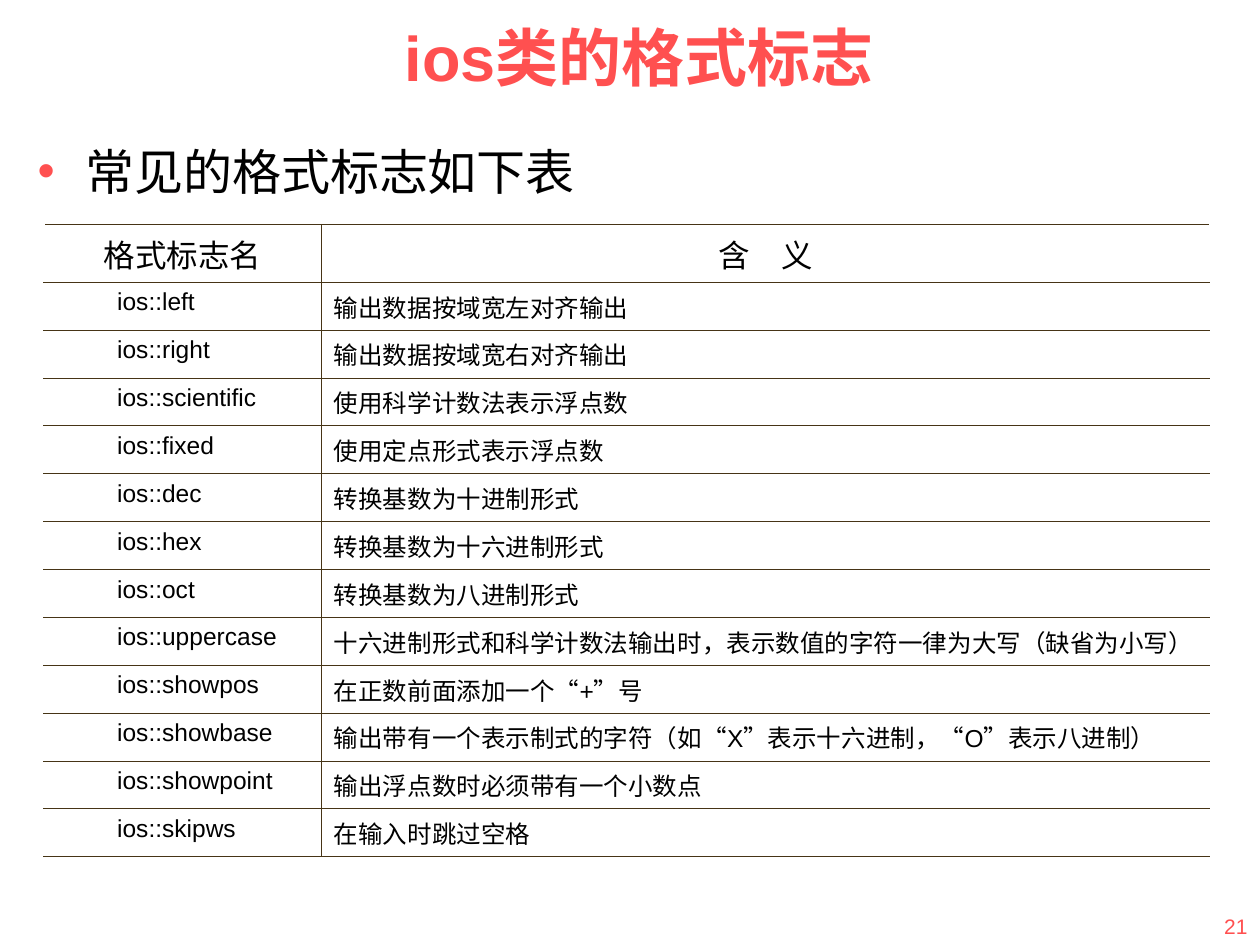
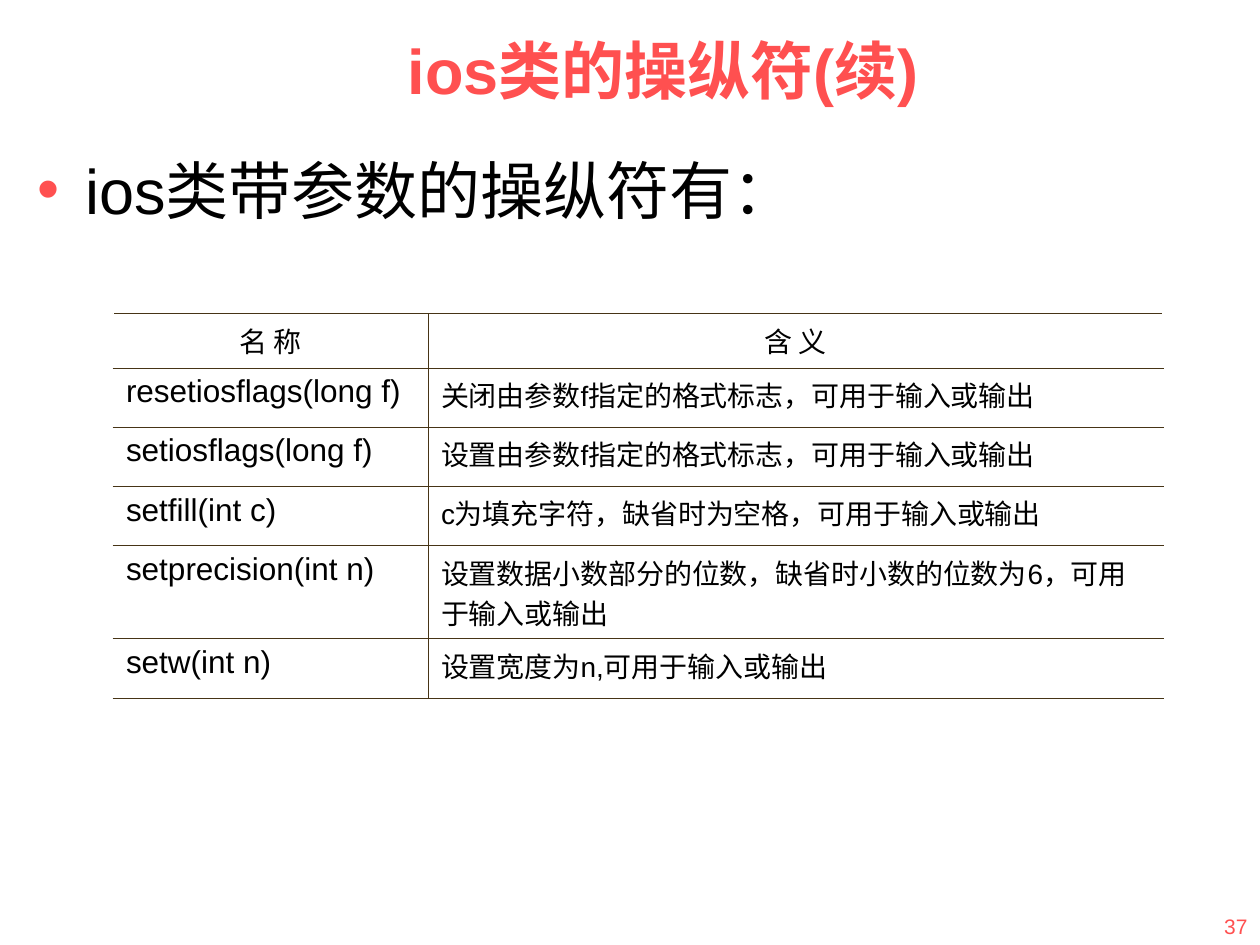
import dataclasses

import lxml.etree
import pptx
import pptx.dml.color
import pptx.enum.lang
import pptx.enum.text
import pptx.oxml.ns
import pptx.util

Inches = pptx.util.Inches
ALIGN = pptx.enum.text.PP_ALIGN
ANCHOR = pptx.enum.text.MSO_ANCHOR


@dataclasses.dataclass(frozen=True)
class Theme:
    """Colours, font and type sizes shared by the slides."""
    accent: str = "FF5050"
    ink: str = "000000"
    rule: str = "463416"
    paper: str = "FFFFFF"
    font: str = "Arial"
    title_size: int = 36
    number_size: int = 12
    rule_width: float = 0.45
    edge_width: float = 1.08


THEME = Theme()

FORMAT_FLAGS = [
    ("格式标志名", "含　义"),
    ("ios::left", "输出数据按域宽左对齐输出"),
    ("ios::right", "输出数据按域宽右对齐输出"),
    ("ios::scientific", "使用科学计数法表示浮点数"),
    ("ios::fixed", "使用定点形式表示浮点数"),
    ("ios::dec", "转换基数为十进制形式"),
    ("ios::hex", "转换基数为十六进制形式"),
    ("ios::oct", "转换基数为八进制形式"),
    ("ios::uppercase", "十六进制形式和科学计数法输出时，表示数值的字符一律为大写（缺省为小写）"),
    ("ios::showpos", "在正数前面添加一个“+”号"),
    ("ios::showbase", "输出带有一个表示制式的字符（如“X”表示十六进制，“O”表示八进制）"),
    ("ios::showpoint", "输出浮点数时必须带有一个小数点"),
    ("ios::skipws", "在输入时跳过空格"),
]

MANIPULATORS = [
    ("名 称", "含 义"),
    ("resetiosflags(long f)", "关闭由参数f指定的格式标志，可用于输入或输出"),
    ("setiosflags(long f)", "设置由参数f指定的格式标志，可用于输入或输出"),
    ("setfill(int c)", "c为填充字符，缺省时为空格，可用于输入或输出"),
    ("setprecision(int n)", "设置数据小数部分的位数，缺省时小数的位数为6，可用于输入或输出"),
    ("setw(int n)", "设置宽度为n,可用于输入或输出"),
]


def add_element(parent, tag, **attributes):
    """Append a DrawingML element and return it."""
    return lxml.etree.SubElement(parent, pptx.oxml.ns.qn(tag), attributes)


def write(frame, text, size, color=THEME.ink, bold=False, align=ALIGN.LEFT,
          anchor=ANCHOR.TOP, bullet=False):
    """Write one formatted paragraph into a text frame."""
    frame.word_wrap = True
    frame.vertical_anchor = anchor
    paragraph = frame.paragraphs[0]
    paragraph.alignment = align
    if bullet:
        properties = paragraph._p.get_or_add_pPr()
        properties.set("marL", str(Inches(0.38)))
        properties.set("indent", str(Inches(-0.38)))
        add_element(add_element(properties, "a:buClr"), "a:srgbClr", val=THEME.accent)
        add_element(properties, "a:buFont", typeface=THEME.font)
        add_element(properties, "a:buChar", char="•")
    run = paragraph.add_run()
    run.text = text
    run.font.name = THEME.font
    run.font.size = pptx.util.Pt(size)
    run.font.bold = bold
    run.font.color.rgb = pptx.dml.color.RGBColor.from_string(color)
    run.font.language_id = pptx.enum.lang.MSO_LANGUAGE_ID.SIMPLIFIED_CHINESE


def place_title(slide, text, left, top):
    """Move and format the title placeholder."""
    title = slide.shapes.title
    title.left, title.top = Inches(left), Inches(top)
    title.width, title.height = Inches(8.03), Inches(0.9)
    title.text_frame.auto_size = pptx.enum.text.MSO_AUTO_SIZE.NONE
    write(title.text_frame, text, THEME.title_size, color=THEME.accent, bold=True,
          align=ALIGN.CENTER, anchor=ANCHOR.MIDDLE)


def add_text(slide, text, box, size, **style):
    """Add a text box at left, top, width, height in inches."""
    frame = slide.shapes.add_textbox(*map(Inches, box)).text_frame
    write(frame, text, size, **style)


def draw_borders(cell, first_column):
    """Rule a cell on all sides but its outer edge."""
    properties = cell._tc.get_or_add_tcPr()
    outer = "L" if first_column else "R"
    for side in "LRTB":
        color, width = ((THEME.paper, THEME.edge_width) if side == outer
                        else (THEME.rule, THEME.rule_width))
        line = add_element(properties, f"a:ln{side}", w=str(pptx.util.Pt(width)))
        add_element(add_element(line, "a:solidFill"), "a:srgbClr", val=color)


def add_definitions(slide, rows, left, top, widths, heights, header_size,
                    body_sizes, name_indent=0):
    """Add a ruled table of names and meanings."""
    table = slide.shapes.add_table(
        len(rows), len(widths), Inches(left), Inches(top),
        Inches(sum(widths)), Inches(sum(heights))).table
    table.first_row = table.horz_banding = False
    for column, width in zip(table.columns, widths):
        column.width = Inches(width)
    for row_index, (row, height) in enumerate(zip(rows, heights)):
        table.rows[row_index].height = Inches(height)
        is_header = row_index == 0
        for column_index, text in enumerate(row):
            cell = table.cell(row_index, column_index)
            draw_borders(cell, column_index == 0)
            cell.fill.background()
            if column_index == 0 and not is_header:
                cell.margin_left = Inches(0.1 + name_indent)
            write(cell.text_frame, text,
                  header_size if is_header else body_sizes[column_index],
                  align=ALIGN.CENTER if is_header else ALIGN.LEFT)


def add_definition_slide(deck, number, title, title_at, lead, lead_box, lead_size,
                         **definitions):
    """Add a slide with a title, a lead bullet, a table and a number."""
    slide = deck.slides.add_slide(deck.slide_layouts[5])
    place_title(slide, title, *title_at)
    add_text(slide, number, (8.86, 7, 1.14, 0.5), THEME.number_size,
             color=THEME.accent, align=ALIGN.RIGHT, anchor=ANCHOR.BOTTOM)
    add_text(slide, lead, lead_box, lead_size, bullet=True)
    add_definitions(slide, **definitions)


def main():
    """Build and save the deck."""
    deck = pptx.Presentation()
    deck.slide_width, deck.slide_height = Inches(10), Inches(7.5)
    add_definition_slide(
        deck, "21", "ios类的格式标志", (1.06, 0),
        "常见的格式标志如下表", (0.2, 1.07, 9.61, 6.22), 28,
        rows=FORMAT_FLAGS, left=0.35, top=1.78, widths=(2.2, 7.05),
        heights=[0.46] + [0.38] * (len(FORMAT_FLAGS) - 1),
        header_size=18, body_sizes=(14, 14), name_indent=0.48)
    add_definition_slide(
        deck, "37", "ios类的操纵符(续)", (1.25, 0.1),
        "ios类带参数的操纵符有：", (0.2, 1.15, 9.8, 4.02), 36,
        rows=MANIPULATORS, left=0.9, top=2.49, widths=(2.5, 5.83),
        heights=[0.43, 0.47, 0.47, 0.47, 0.74, 0.47],
        header_size=16, body_sizes=(18, 16))
    deck.save("out.pptx")


if __name__ == "__main__":
    main()
